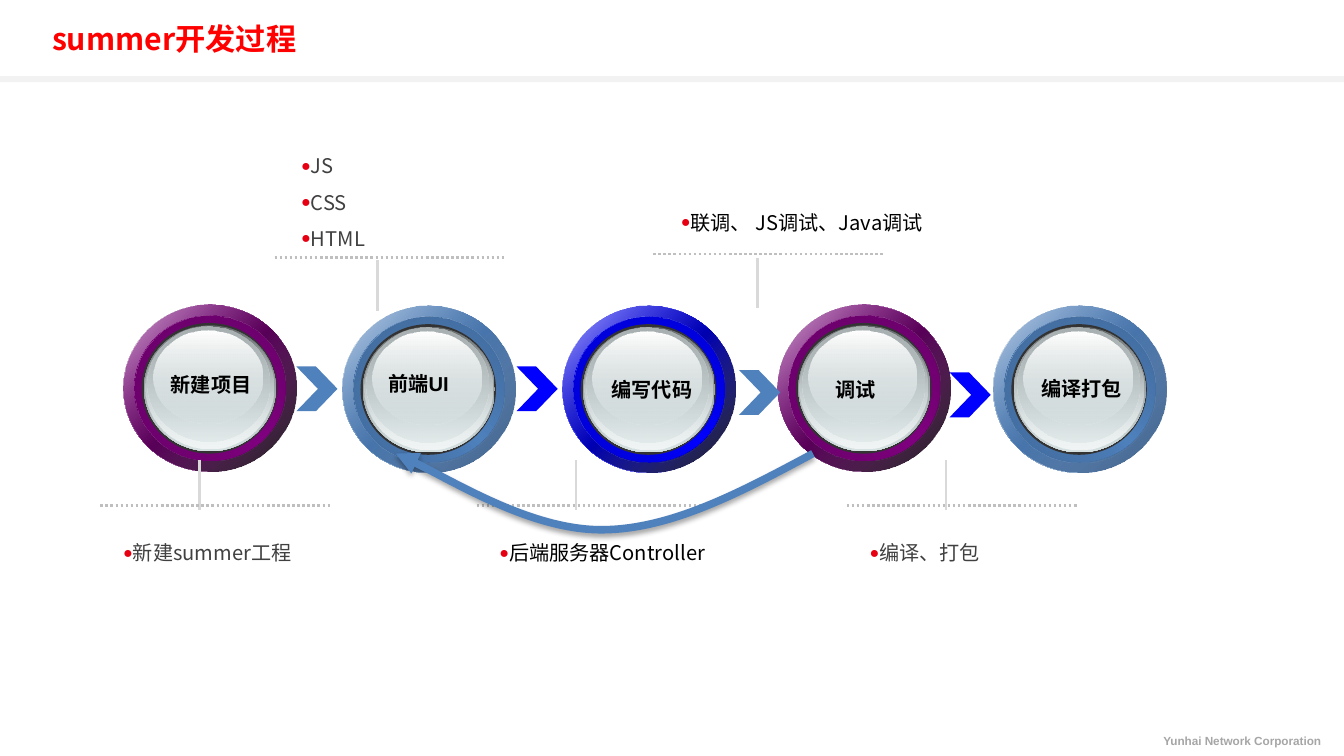
from dataclasses import dataclass

from lxml.etree import SubElement
from pptx import Presentation
from pptx.dml.color import RGBColor
from pptx.enum.dml import MSO_LINE
from pptx.enum.shapes import MSO_CONNECTOR, MSO_SHAPE
from pptx.enum.text import MSO_ANCHOR, MSO_AUTO_SIZE, PP_ALIGN
from pptx.oxml.ns import qn
from pptx.util import Pt

PX = 9144  # EMU per px, 100 px to the inch


@dataclass(frozen=True)
class Theme:
    latin: str = "Arial"
    chinese: str = "Noto Sans CJK SC"
    title_size: int = 18
    text_size: int = 12
    footer_size: int = 7
    title: str = "FF0000"
    black: str = "000000"
    gray: str = "404040"
    footer: str = "A6A6A6"
    band: str = "F2F2F2"
    bullet: str = "E60012"
    stem: str = "D9D9D9"
    rule: str = "BFBFBF"
    steel: str = "4F81BD"
    blue: str = "0000FF"
    rim: str = "333333"


THEME = Theme()

# Ring colour: main, inner edge, inner glow, (shade, opacity)
PURPLE = ("800080", "620062", "690069", ("000000", 90))
STEEL = (THEME.steel, "3C6391", "416A9B", ("395C87", 100))
BLUE = (THEME.blue, "0000C3", "0000D1", ("000000", 90))

TITLE = "summer开发过程"
FOOTER = "Yunhai Network Corporation"

# Ring left, ring top, ring colours, label, label box
STEPS = [
    (102, 252, PURPLE, "新建项目", (120, 303, 109, 30)),
    (283, 253, STEEL, "前端UI", (305, 302, 82, 30)),
    (465, 253, BLUE, "编写代码", (485, 307, 108, 30)),
    (643, 252, PURPLE, "调试", (676, 307, 63, 30)),
    (821, 253, STEEL, "编译打包", (843, 306, 102, 30)),
]
CHEVRONS = [
    (245, 303, THEME.steel),
    (427, 303, THEME.blue),
    (611, 306, THEME.steel),
    (785, 308, THEME.blue),
]
# Rule left, rule top, stem x and top relative to the rule, note box, colour, lines
CALLOUTS = [
    (83, 418, 82, -38, (72, 432, 217, 40), THEME.gray, ["新建summer工程"]),
    (227, 213, 85, 2, (219, 112, 217, 100), THEME.gray, ["JS", "CSS", "HTML"]),
    (394, 418, 82, -38, (383, 432, 246, 40), THEME.black, ["后端服务器Controller"]),
    (540, 210, 86, 3, (533, 159, 272, 40), THEME.black, ["联调、 JS调试、Java调试"]),
    (700, 418, 82, -38, (689, 432, 217, 40), THEME.gray, ["编译、打包"]),
]
RULE_LENGTH, STEM_LENGTH = 191, 42
# Start point, then two control points and an end point for each curve
RETURN_ARROW = [(672, 375), (614, 406), (555, 438), (497, 438),
                (440, 438), (356, 387), (327, 375)]


def ring_layers(main, edge, glow, shade):
    """Ellipses of one button: offset and size, gradient stops, angle."""
    return [
        ((0, 0, 143, 138), [(0, "FFFFFF", 100), (50, main, 100), (100, "FFFFFF", 100)], 45),
        ((0, 0, 143, 138), [(0, main, 32), (100, *shade)], 45),
        ((9, 9, 125, 120), [(0, edge, 100), (50, main, 100), (100, edge, 100)], 315),
        ((9, 9, 125, 120), [(0, glow, 100), (100, main, 0)], 45),
        ((15, 15, 112, 108), THEME.rim, None),
        ((17, 17, 109, 104), [(0, "636869", 100), (100, "D6E1E2", 100)], 90),
        ((18, 17, 106, 102), [(0, "D6E1E2", 0), (100, "F1F5F5", 100)], 90),
        ((20, 18, 101, 95), [(0, "AAB2B3", 100), (100, "D6E1E2", 48)], 90),
        ((25, 21, 90, 77), [(0, "FFFFFF", 100), (100, "D6E1E2", 38)], 90),
    ]


def emu(*lengths):
    return [length * PX for length in lengths]


def rgb(color):
    return RGBColor.from_string(color)


def child(parent, tag, **attributes):
    return SubElement(parent, qn(tag), {key: str(value) for key, value in attributes.items()})


def add_color(parent, color, opacity):
    child(child(parent, "a:srgbClr", val=color), "a:alpha", val=opacity * 1000)


def add_filled(shapes, preset, box, fill, angle=None):
    shape = shapes.add_shape(preset, *emu(*box))
    shape.shadow.inherit = False
    shape.line.fill.background()
    if angle is None:
        shape.fill.solid()
        shape.fill.fore_color.rgb = rgb(fill)
        return shape
    shape.fill.gradient()
    shape.fill.gradient_angle = 360 - angle
    stops = shape._element.xpath(".//a:gsLst")[0]
    for stop in list(stops):
        stops.remove(stop)
    for position, color, opacity in fill:
        add_color(child(stops, "a:gs", pos=position * 1000), color, opacity)
    return shape


def add_line(shapes, start, end, color, dash=None):
    line = shapes.add_connector(MSO_CONNECTOR.STRAIGHT, *emu(*start, *end))
    line.line.color.rgb = rgb(color)
    line.line.width = Pt(1.5)
    if dash:
        line.line.dash_style = dash
    child(line._element.spPr, "a:effectLst")


def add_bullet(paragraph):
    properties = paragraph._p.get_or_add_pPr()
    properties.set("marL", "0")
    properties.set("indent", str(20 * PX))
    child(child(properties, "a:buClr"), "a:srgbClr", val=THEME.bullet)
    child(properties, "a:buSzPct", val=80000)
    child(properties, "a:buFont", typeface=THEME.latin)
    child(properties, "a:buChar", char="●")
    child(child(properties, "a:tabLst"), "a:tab", pos=59 * PX, algn="l")
    paragraph.line_spacing = 1.5
    paragraph.space_before = Pt(0)


def write(shape, box, lines, size, color, bold=False, font=THEME.chinese,
          align=PP_ALIGN.LEFT, anchor=MSO_ANCHOR.TOP, bullets=False):
    """Place a text shape and fill it with one paragraph per line."""
    shape.left, shape.top, shape.width, shape.height = emu(*box)
    frame = shape.text_frame
    frame.text = "\n".join(lines)
    frame.word_wrap = True
    frame.auto_size = MSO_AUTO_SIZE.NONE
    frame.vertical_anchor = anchor
    for paragraph in frame.paragraphs:
        if bullets:
            add_bullet(paragraph)
        paragraph.alignment = align
        paragraph.font.size = Pt(size)
        paragraph.font.bold = bold
        paragraph.font.name = font
        paragraph.font.color.rgb = rgb(color)
        child(paragraph.font._element, "a:ea", typeface=THEME.chinese)


def add_text(shapes, box, *args, **options):
    write(shapes.add_textbox(*emu(*box)), box, *args, **options)


def add_return_arrow(shapes):
    builder = shapes.build_freeform(*RETURN_ARROW[0], scale=PX)
    builder.add_line_segments(RETURN_ARROW[1:], close=False)
    arrow = builder.convert_to_shape()
    segments = arrow._element.xpath(".//a:lnTo")
    for first in range(0, len(segments), 3):
        curve = child(segments[first].getparent(), "a:cubicBezTo")
        for segment in segments[first:first + 3]:
            curve.append(segment[0])
            segment.getparent().remove(segment)
    arrow.fill.background()
    arrow.line.color.rgb = rgb(THEME.steel)
    arrow.line.width = Pt(4.5)
    child(arrow.line._get_or_add_ln(), "a:tailEnd", type="triangle")
    arrow.shadow.inherit = False
    effects = arrow._element.xpath("./p:spPr/a:effectLst")[0]
    shadow = child(effects, "a:outerShdw", blurRad=Pt(3.1), dist=Pt(1.8),
                   dir=5400000, rotWithShape=0)
    add_color(shadow, THEME.black, 35)


def main():
    presentation = Presentation()
    presentation.slide_width, presentation.slide_height = emu(1111, 625)
    slide = presentation.slides.add_slide(presentation.slide_layouts[1])
    shapes = slide.shapes

    add_filled(shapes, MSO_SHAPE.RECTANGLE, (0, 63, 1111, 5), THEME.band)
    add_text(shapes, (946, 602, 156, 22), [FOOTER], THEME.footer_size, THEME.footer,
             bold=True, font=THEME.latin, align=PP_ALIGN.RIGHT)
    write(shapes.title, (33, 12, 943, 40), [TITLE], THEME.title_size, THEME.title,
          bold=True, anchor=MSO_ANCHOR.MIDDLE)

    for left, top, colors, label, label_box in STEPS:
        for (x, y, width, height), fill, angle in ring_layers(*colors):
            add_filled(shapes, MSO_SHAPE.OVAL, (left + x, top + y, width, height), fill, angle)
        add_text(shapes, label_box, [label], THEME.text_size, THEME.black,
                 bold=True, font=THEME.latin, align=PP_ALIGN.CENTER)
    for left, top, color in CHEVRONS:
        chevron = add_filled(shapes, MSO_SHAPE.CHEVRON, (left, top, 34, 37), color)
        chevron.adjustments[0] = 0.525

    for left, top, stem_x, stem_y, box, color, lines in CALLOUTS:
        stem_left, stem_top = left + stem_x, top + stem_y
        add_line(shapes, (stem_left, stem_top), (stem_left, stem_top + STEM_LENGTH), THEME.stem)
        add_line(shapes, (left, top), (left + RULE_LENGTH, top), THEME.rule, MSO_LINE.ROUND_DOT)
        if len(lines) > 1:
            write(slide.placeholders[1], box, lines, THEME.text_size, color, bullets=True)
        else:
            add_text(shapes, box, lines, THEME.text_size, color, bullets=True)
    add_return_arrow(shapes)
    presentation.save("out.pptx")


if __name__ == "__main__":
    main()
